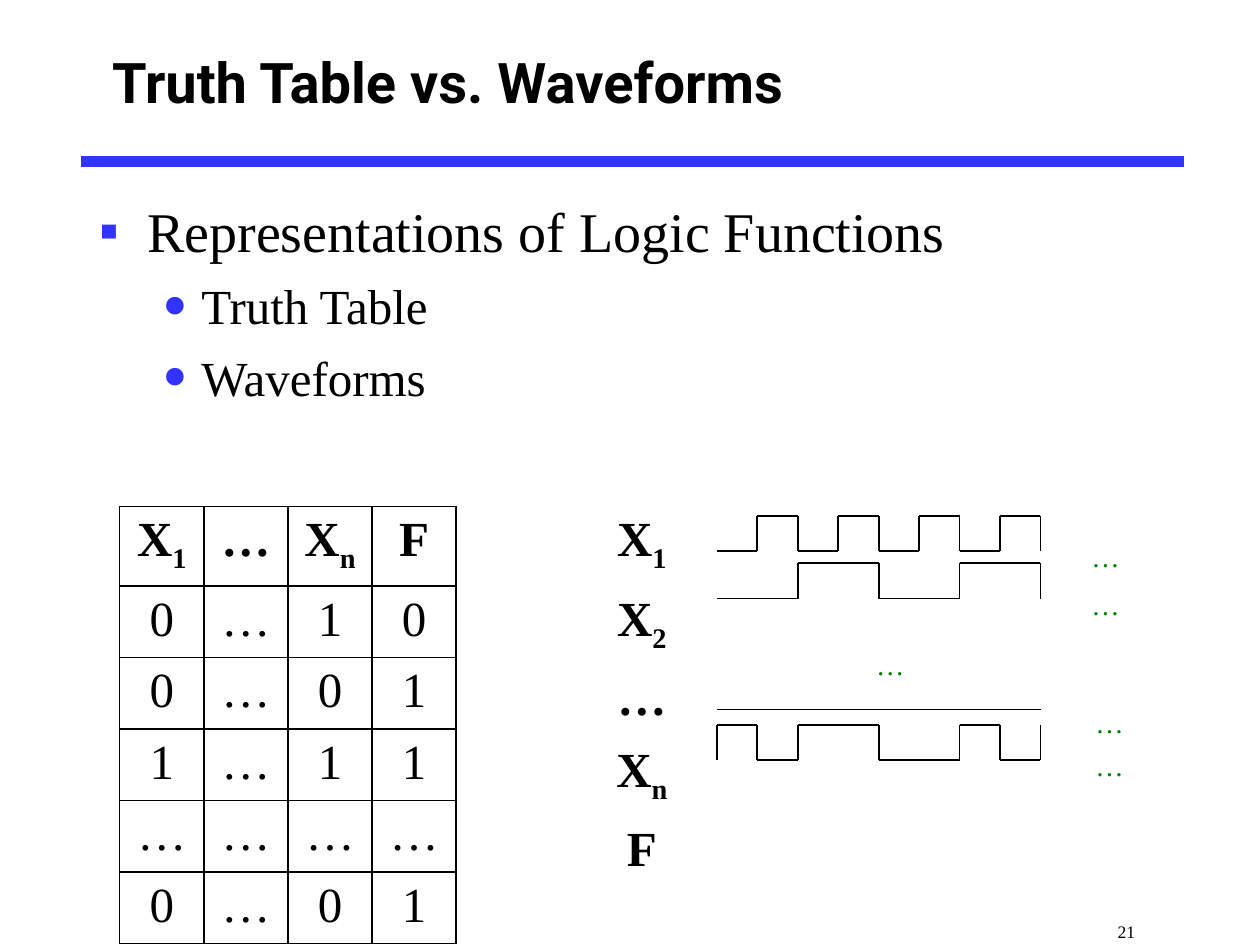
from lxml import etree
from pptx import Presentation
from pptx import util as u
from pptx.dml.color import RGBColor
from pptx.enum import shapes, text
from pptx.oxml import ns

COLORS = {"ink": "000000", "accent": "3333FF", "ellipsis": "008000"}
COLUMNS, ROWS = 100, 75


class SlideBuilder:
    heading_font = "Roboto"
    body_font = "Times New Roman"

    def __init__(self, presentation):
        self.column = presentation.slide_width / COLUMNS
        self.row = presentation.slide_height / ROWS
        self.slide = presentation.slides.add_slide(presentation.slide_layouts[5])

    def place(self, x, y, width, height):
        return (round(x * self.column), round(y * self.row),
                round(width * self.column), round(height * self.row))

    def format(self, paragraph, size, color="ink", bold=False, font=None):
        for run in paragraph.runs:
            run.font.name = font or self.body_font
            run.font.size = u.Pt(size)
            run.font.bold = bold
            run.font.color.rgb = RGBColor.from_string(COLORS[color])

    def title(self, wording, *box):
        shape = self.slide.shapes.title
        shape.left, shape.top, shape.width, shape.height = self.place(*box)
        frame = shape.text_frame
        frame.text = wording
        frame.vertical_anchor = text.MSO_ANCHOR.MIDDLE
        paragraph = frame.paragraphs[0]
        paragraph.alignment = text.PP_ALIGN.LEFT
        self.format(paragraph, 32, bold=True, font=self.heading_font)

    def text_box(self, wording, box, size, color="ink", wrap=True):
        frame = self.slide.shapes.add_textbox(*self.place(*box)).text_frame
        frame.word_wrap = wrap
        frame.text = wording
        self.format(frame.paragraphs[0], size, color)
        return frame

    def bullet(self, paragraph, symbol, indent, hanging, scale):
        properties = paragraph._p.get_or_add_pPr()
        properties.set("marL", str(u.Inches(indent)))
        properties.set("indent", str(-u.Inches(hanging)))
        color = etree.SubElement(properties, ns.qn("a:buClr"))
        etree.SubElement(color, ns.qn("a:srgbClr"), val=COLORS["accent"])
        etree.SubElement(properties, ns.qn("a:buSzPct"), val=str(scale * 1000))
        etree.SubElement(properties, ns.qn("a:buFont"), typeface=self.body_font)
        etree.SubElement(properties, ns.qn("a:buChar"), char=symbol)

    def outline(self, heading, points, *box):
        frame = self.text_box(heading, box, 32)
        frame.margin_top = u.Inches(0.11)
        self.bullet(frame.paragraphs[0], "▪", 0.38, 0.38, 100)
        for point in points:
            paragraph = frame.add_paragraph()
            paragraph.text = point
            paragraph.level = 1
            self.bullet(paragraph, "•", 0.81, 0.31, 150)
            paragraph.space_before = u.Pt(7)
            self.format(paragraph, 28)

    def ellipsis(self, x, y):
        frame = self.text_box("…", (x, y, 4.5, 4), 28, "ellipsis", wrap=False)
        paragraph = frame.paragraphs[0]
        paragraph.alignment = text.PP_ALIGN.CENTER
        self.subscript(paragraph.runs[0])

    def subscript(self, run):
        run.font._element.set("baseline", "-25000")

    def line(self, x1, y1, x2, y2, color="ink", width=1):
        start, end = self.place(x1, y1, 0, 0), self.place(x2, y2, 0, 0)
        connector = self.slide.shapes.add_connector(
            shapes.MSO_CONNECTOR.STRAIGHT, *start[:2], *end[:2])
        connector.line.color.rgb = RGBColor.from_string(COLORS[color])
        connector.line.width = u.Pt(width)
        etree.SubElement(connector._element.spPr, ns.qn("a:effectLst"))

    def waveform(self, levels, x, top, step=3.21, height=2.8):
        heights = [top + height * (level == "0") for level in levels]
        last = len(heights) - 1
        for index in range(1, last + 1):
            left = x + (index - 1) * step
            before, now = heights[index - 1], heights[index]
            if before != now:
                self.line(left, before, left, now)
            if index < last:
                self.line(left, now, left + step, now)

    def border(self, cell):
        properties = cell._tc.get_or_add_tcPr()
        for index, side in enumerate(("lnL", "lnR", "lnT", "lnB")):
            edge = etree.Element(ns.qn("a:" + side), w=str(u.Pt(1)))
            fill = etree.SubElement(edge, ns.qn("a:solidFill"))
            etree.SubElement(fill, ns.qn("a:srgbClr"), val=COLORS["ink"])
            properties.insert(index, edge)

    def table(self, rows, x, y, bold_rows, bordered):
        width, height = 6.68, 4.05
        box = self.place(x, y, width * len(rows[0]), height * len(rows))
        table = self.slide.shapes.add_table(len(rows), len(rows[0]), *box).table
        table.first_row = table.horz_banding = False
        for row_index, row in enumerate(rows):
            for column_index, label in enumerate(row):
                cell = table.cell(row_index, column_index)
                cell.fill.background()
                if bordered:
                    self.border(cell)
                base, _, index = label.partition("_")
                paragraph = cell.text_frame.paragraphs[0]
                paragraph.text = base
                paragraph.alignment = text.PP_ALIGN.CENTER
                if index:
                    run = paragraph.add_run()
                    run.text = index
                    self.subscript(run)
                self.format(paragraph, 28, bold=row_index < bold_rows)

    def page_number(self, number, *box):
        frame = self.text_box(number, box, 10)
        frame.vertical_anchor = text.MSO_ANCHOR.BOTTOM
        frame.margin_left = u.Inches(0.97)
        frame.margin_bottom = u.Inches(0.02)


def main():
    presentation = Presentation()
    presentation.slide_width, presentation.slide_height = u.Inches(10), u.Inches(7.5)
    builder = SlideBuilder(presentation)

    builder.line(6.4, 12.8, 94, 12.8, "accent", 6)
    builder.title("Truth Table vs. Waveforms", 7.9, 0.8, 85, 11.2)
    builder.outline("Representations of Logic Functions",
                    ["Truth Table", "Waveforms"], 6.9, 14.5, 86.2, 47.6)

    truth_rows = [["X_1", "…", "X_n", "F"]]
    truth_rows += [list(row) for row in ("0…10", "0…01", "1…11", "…………", "0…01")]
    builder.table(truth_rows, 9.5, 40.2, bold_rows=1, bordered=True)
    signals = [["X_1"], ["X_2"], ["…"], ["X_n"], ["F"]]
    builder.table(signals, 47.6, 40.2, bold_rows=len(signals), bordered=False)

    for levels, top in (("0010101010", 40.95), ("0001100110", 44.7),
                        ("0101100101", 57.55)):
        builder.waveform(levels, 56.9, top)
    builder.line(56.9, 56.3, 82.6, 56.3)

    for x, y in ((68.4, 48.3), (85.5, 39.7), (85.5, 43.5),
                 (85.8, 52.9), (85.8, 56.3)):
        builder.ellipsis(x, y)
    builder.page_number("21", 79, 71.2, 21, 3.8)
    presentation.save("out.pptx")


if __name__ == "__main__":
    main()
